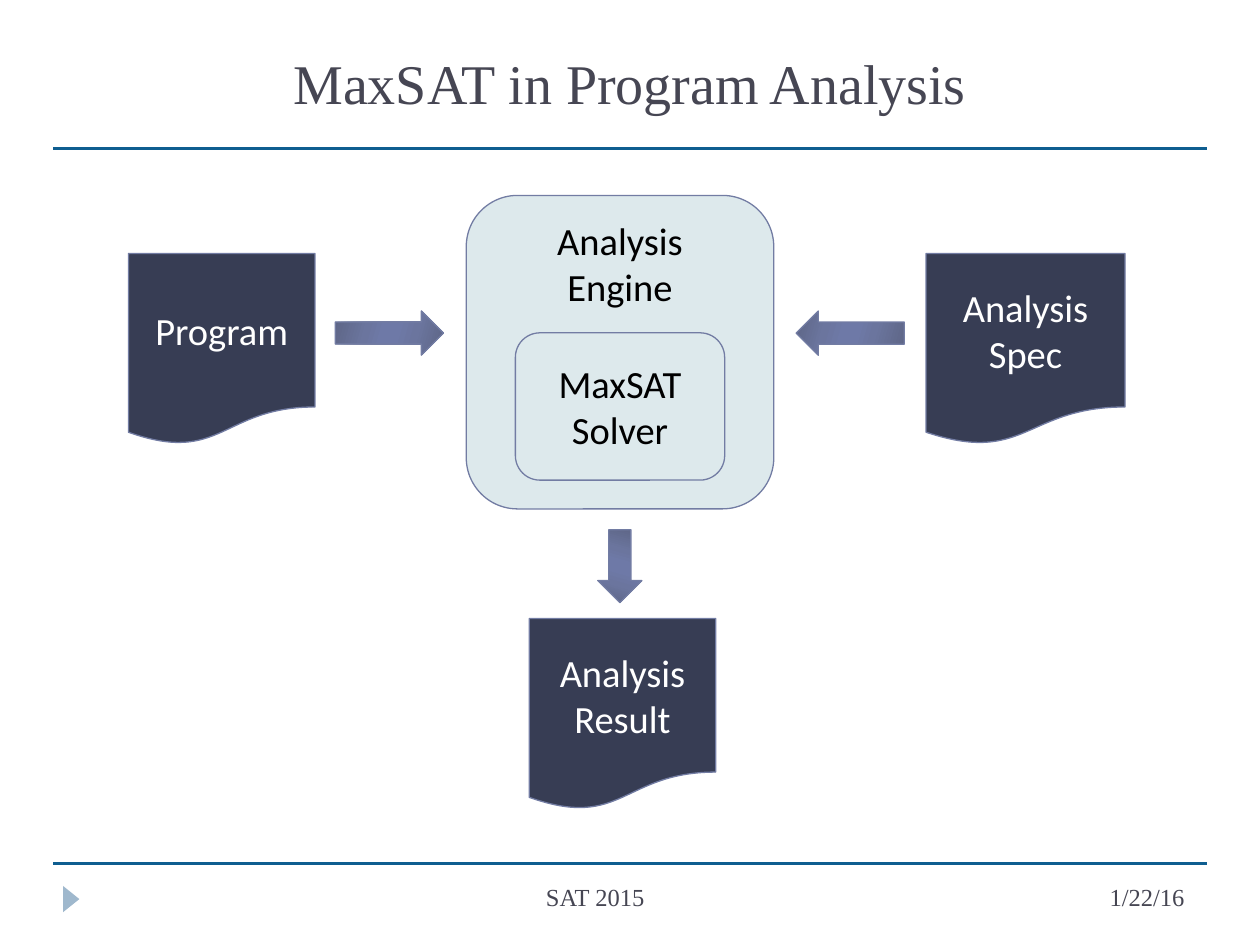
from dataclasses import dataclass
from typing import Optional

from lxml import etree
from pptx import Presentation
from pptx import util as u
from pptx.dml.color import RGBColor
from pptx.enum import shapes, text
from pptx.oxml import ns

Box = tuple[float, float, float, float]


@dataclass(frozen=True)
class Theme:
    rule: str = "0F5E90"
    marker: str = "9FB8CD"
    heading: str = "464653"
    outline: str = "727CA3"
    document: str = "373D54"
    engine: str = "DDE9EC"
    light: str = "FFFFFF"
    dark: str = "000000"
    arrow_stops: tuple = ((0, "5D6585"), (30, "6B759E"), (45, "6E79A7"),
                          (55, "6E79A7"), (73, "6B759E"), (100, "5D6585"))
    arrow_angle: int = 16
    serif: str = "Times New Roman"
    sans: str = "Calibri"
    title_size: int = 32
    node_size: int = 22
    footer_size: int = 14
    rule_width: float = 1.75
    outline_width: float = 0.75


@dataclass(frozen=True)
class Node:
    kind: shapes.MSO_SHAPE
    box: Box
    label: str
    fill: str
    ink: str
    anchor: text.MSO_ANCHOR = text.MSO_ANCHOR.MIDDLE


@dataclass(frozen=True)
class Arrow:
    box: Box
    turn: int


@dataclass(frozen=True)
class Caption:
    box: Box
    label: str
    size: int
    align: text.PP_ALIGN
    anchor: text.MSO_ANCHOR = text.MSO_ANCHOR.TOP


THEME = Theme()
DOCUMENT = shapes.MSO_SHAPE.FLOWCHART_DOCUMENT
ROUNDED = shapes.MSO_SHAPE.ROUNDED_RECTANGLE
FLOW_TOP, INPUT_TOP = 6.27, 5.11
RULE_SPAN, RULE_HEIGHTS = (1.07, 24.33), (3.0, 17.4)

CAPTIONS = (
    Caption((17.78, 17.65, 6.35, 1.02), "1/22/16", THEME.footer_size, text.PP_ALIGN.RIGHT),
    Caption((1.27, 0.43, 22.86, 2.46), "MaxSAT in Program Analysis", THEME.title_size,
            text.PP_ALIGN.CENTER, text.MSO_ANCHOR.MIDDLE),
    Caption((3.96, 17.65, 16.08, 1.02), "SAT 2015", THEME.footer_size, text.PP_ALIGN.CENTER),
)
NODES = (
    Node(ROUNDED, (9.4, 3.94, 6.2, 6.32), "Analysis\nEngine", THEME.engine, THEME.dark,
         text.MSO_ANCHOR.TOP),
    Node(DOCUMENT, (18.67, INPUT_TOP, 4.01, 3.86), "Analysis\vSpec", THEME.document, THEME.light),
    Node(DOCUMENT, (2.59, INPUT_TOP, 3.76, 3.86), "Program", THEME.document, THEME.light),
    Node(DOCUMENT, (10.67, 12.47, 3.76, 3.86), "Analysis\vResult", THEME.document, THEME.light),
    Node(ROUNDED, (10.39, 6.71, 4.22, 2.97), "MaxSAT\nSolver", THEME.engine, THEME.dark),
)
ARROWS = (
    Arrow((6.76, FLOW_TOP, 2.18, 0.89), 0),
    Arrow((16.05, FLOW_TOP, 2.18, 0.89), 180),
    Arrow((11.76, 10.97, 1.47, 0.89), 90),
)


def lengths(box: Box) -> list:
    return [u.Cm(value) for value in box]


def apply(target, formats: dict) -> None:
    for name, value in formats.items():
        setattr(target, name, value)


def write(owner, label: str, font: dict, ink: str, align, anchor) -> None:
    frame = owner.text_frame
    apply(frame, {"text": label, "word_wrap": True, "vertical_anchor": anchor})
    for paragraph in frame.paragraphs:
        paragraph.alignment = align
        for run in paragraph.runs:
            apply(run.font, font)
            run.font.color.rgb = RGBColor.from_string(ink)


def draw_shape(slide, kind, box: Box, fill: Optional[str], outline: Optional[str], turn: int = 0):
    shape = slide.shapes.add_shape(kind, *lengths(box))
    shape.shadow.inherit = False
    shape.rotation = turn
    if fill:
        shape.fill.solid()
        shape.fill.fore_color.rgb = RGBColor.from_string(fill)
    if outline:
        shape.line.color.rgb = RGBColor.from_string(outline)
        shape.line.width = u.Pt(THEME.outline_width)
    else:
        shape.line.fill.background()
    return shape


def draw_node(slide, node: Node) -> None:
    shape = draw_shape(slide, node.kind, node.box, node.fill, THEME.outline)
    font = {"name": THEME.sans, "size": u.Pt(THEME.node_size)}
    write(shape, node.label, font, node.ink, text.PP_ALIGN.CENTER, node.anchor)


def draw_arrow(slide, arrow: Arrow) -> None:
    shape = draw_shape(slide, shapes.MSO_SHAPE.RIGHT_ARROW, arrow.box, None, THEME.outline,
                       arrow.turn)
    shape.fill.gradient()
    gradient = shape.element.spPr.find(ns.qn("a:gradFill"))
    stops = gradient.find(ns.qn("a:gsLst"))
    for stop in list(stops):
        stops.remove(stop)
    for percent, color in THEME.arrow_stops:
        stop = etree.SubElement(stops, ns.qn("a:gs"), pos=str(percent * 1000))
        etree.SubElement(stop, ns.qn("a:srgbClr"), val=color)
    gradient.find(ns.qn("a:lin")).set("ang", str(THEME.arrow_angle * 60000))


def draw_caption(slide, caption: Caption) -> None:
    holder = slide.shapes.add_textbox(*lengths(caption.box))
    font = {"name": THEME.serif, "size": u.Pt(caption.size)}
    write(holder, caption.label, font, THEME.heading, caption.align, caption.anchor)


def draw_rule(slide, height: float) -> None:
    left, right = RULE_SPAN
    rule = slide.shapes.add_connector(shapes.MSO_CONNECTOR.STRAIGHT,
                                      *lengths((left, height, right, height)))
    rule.line.color.rgb = RGBColor.from_string(THEME.rule)
    rule.line.width = u.Pt(THEME.rule_width)
    etree.SubElement(rule.element.spPr, ns.qn("a:effectLst"))


def main() -> None:
    deck = Presentation()
    apply(deck, {"slide_width": u.Cm(25.4), "slide_height": u.Cm(19.05)})
    slide = deck.slides.add_slide(deck.slide_layouts[6])
    draw_shape(slide, shapes.MSO_SHAPE.ISOSCELES_TRIANGLE, (1.17, 17.96, 0.53, 0.33),
               THEME.marker, None, 90)
    for height in RULE_HEIGHTS:
        draw_rule(slide, height)
    for caption in CAPTIONS:
        draw_caption(slide, caption)
    for node in NODES:
        draw_node(slide, node)
    for arrow in ARROWS:
        draw_arrow(slide, arrow)
    deck.save("out.pptx")


if __name__ == "__main__":
    main()
